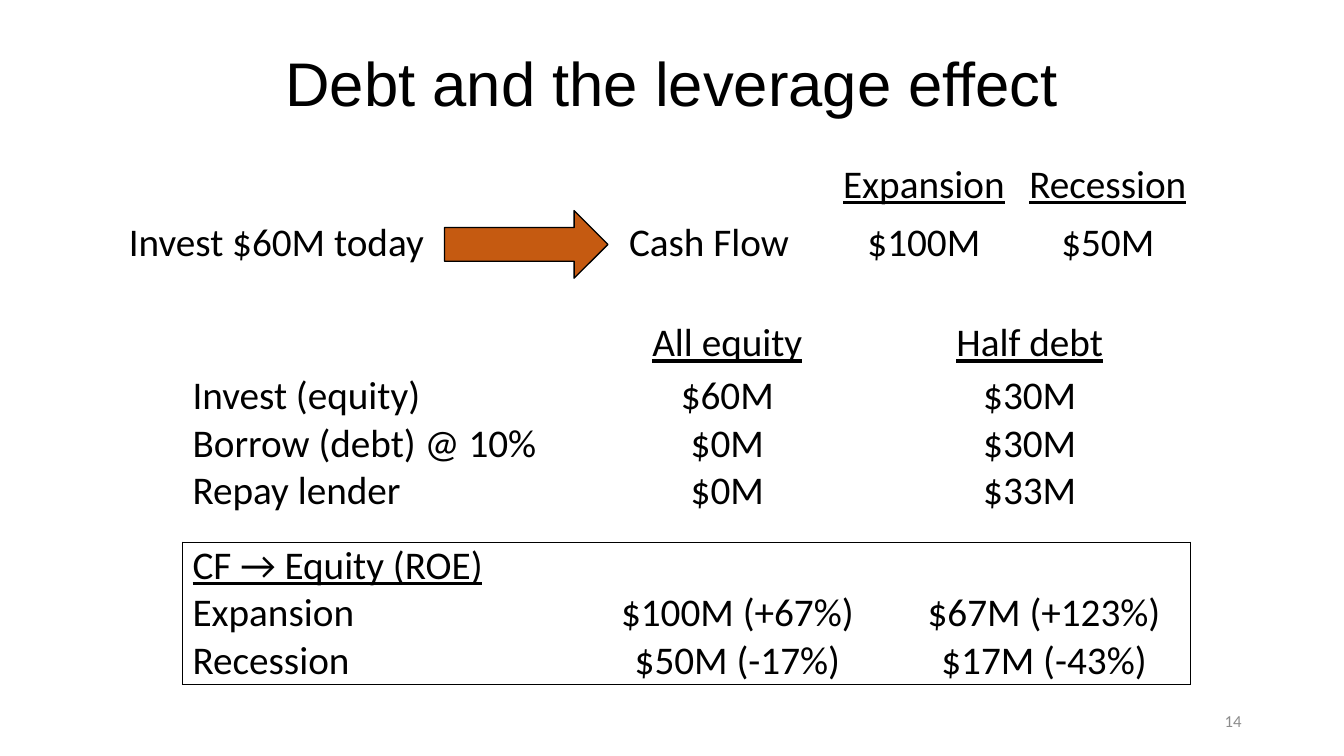
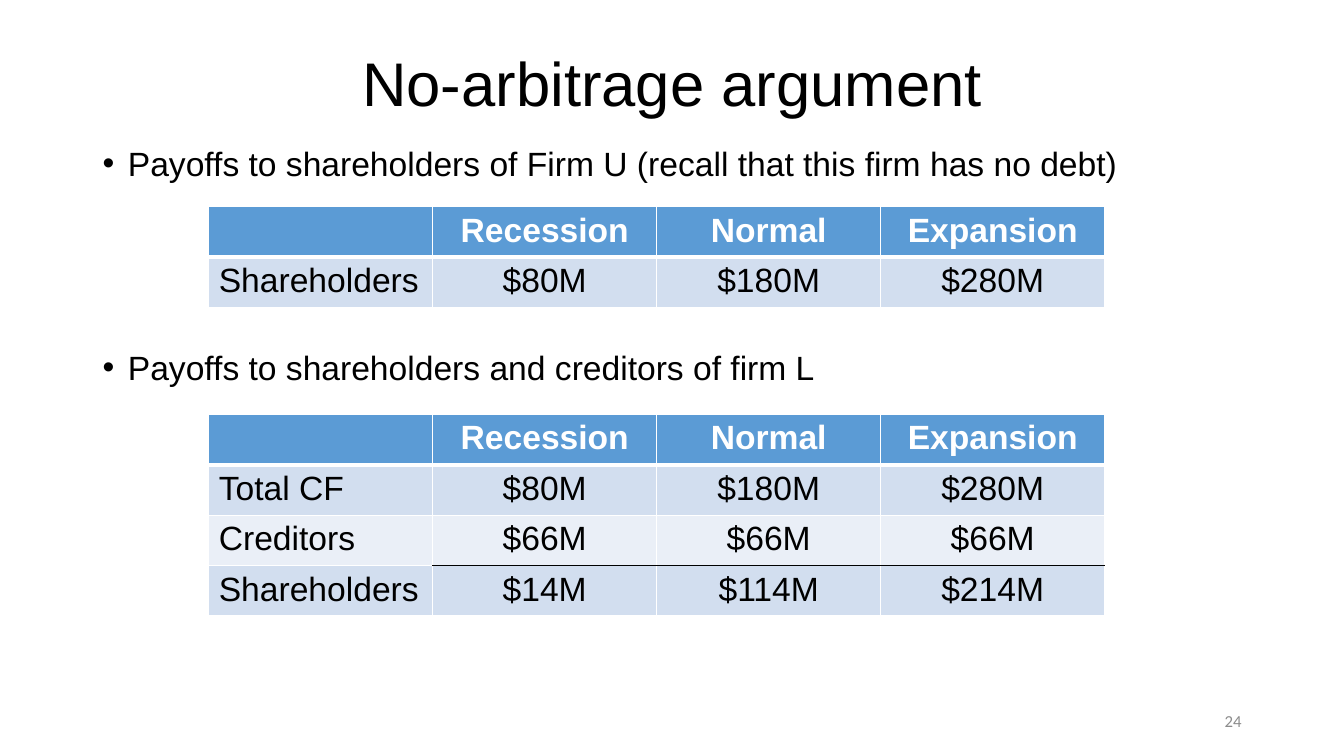
from dataclasses import dataclass

from lxml.etree import SubElement
from pptx import Presentation
from pptx.dml.color import RGBColor
from pptx.enum.shapes import MSO_SHAPE as Shape
from pptx.enum.text import MSO_ANCHOR as Anchor, PP_ALIGN as Align
from pptx.oxml.ns import qn
from pptx.util import Inches, Pt

SLIDE_WIDTH, SLIDE_HEIGHT = Inches(13.33), Inches(7.5)
COLORS = {
    "text": "000000", "number": "8C8C8C", "arrow": "C55A11", "white": "FFFFFF",
    "header": "5B9BD5", "band_dark": "D2DEEF", "band_light": "EAEFF7",
}
SIDES = {"left": "a:lnL", "right": "a:lnR", "top": "a:lnT", "bottom": "a:lnB"}


@dataclass
class Box:
    """A region, in percent of the slide."""
    left: float
    top: float
    width: float
    height: float

    def inner(self, left, top, width, height):
        """A region given in percent of this one."""
        return Box(self.left + self.width * left / 100,
                   self.top + self.height * top / 100,
                   self.width * width / 100, self.height * height / 100)

    def frame(self):
        return (int(SLIDE_WIDTH * self.left / 100), int(SLIDE_HEIGHT * self.top / 100),
                int(SLIDE_WIDTH * self.width / 100), int(SLIDE_HEIGHT * self.height / 100))


@dataclass
class Style:
    size: float
    font: str
    color: str = "text"
    bold: bool = False
    underline: bool = False


TITLE = Style(44, "Arial")
NUMBER = Style(12, "Calibri", "number")
BODY = Style(24, "Arial")
HEADING = Style(24, "Arial", "white", bold=True)
FIGURE = Style(28, "Calibri")
FIGURE_HEADING = Style(28, "Calibri", underline=True)

TITLE_BOX = Box(6.9, 5.33, 86.25, 12.13)
NUMBER_BOX = Box(70.63, 92.67, 22.5, 5.33)
BODY_BOX = Box(6.9, 18.8, 86.25, 76.8)


def color(name):
    return RGBColor.from_string(COLORS[name])


# Text
def write(paragraph, text, style, align=Align.LEFT):
    paragraph.alignment = align
    if not text:
        return
    run = paragraph.add_run()
    run.text = text
    run.font.size, run.font.name = Pt(style.size), style.font
    run.font.bold, run.font.underline = style.bold, style.underline
    run.font.color.rgb = color(style.color)


def add_text(slide, box, text, style, align=Align.LEFT, anchor=Anchor.TOP, spacing=1.0):
    text_frame = slide.shapes.add_textbox(*box.frame()).text_frame
    text_frame.word_wrap = True
    text_frame.vertical_anchor = anchor
    paragraph = text_frame.paragraphs[0]
    paragraph.line_spacing = spacing
    write(paragraph, text, style, align)


def add_bullets(slide, box, bullets):
    """Bullets are pairs of text and space before, in points."""
    text_frame = slide.shapes.add_textbox(*box.frame()).text_frame
    text_frame.word_wrap = True
    for index, (text, space_before) in enumerate(bullets):
        paragraph = text_frame.add_paragraph() if index else text_frame.paragraphs[0]
        paragraph.line_spacing, paragraph.space_before = 0.9, Pt(space_before)
        write(paragraph, text, BODY)
        properties = paragraph.runs[0]._r.getparent().get_or_add_pPr()
        properties.set("marL", str(Inches(0.25)))
        properties.set("indent", str(-Inches(0.25)))
        SubElement(properties, qn("a:buFont"), typeface="Arial")
        SubElement(properties, qn("a:buChar"), char="•")


# Tables
def set_borders(cell, borders):
    """Borders map a side to its colour name and width."""
    properties = cell._tc.get_or_add_tcPr()
    for side, tag in SIDES.items():
        if side in borders:
            name, width = borders[side]
            line = SubElement(properties, qn(tag), w=str(Pt(width)))
            fill = SubElement(line, qn("a:solidFill"))
            SubElement(fill, qn("a:srgbClr"), val=COLORS[name])
        else:
            line = SubElement(properties, qn(tag), w="0")
            SubElement(line, qn("a:noFill"))


def add_grid(slide, box, rows, column_weights, row_weights, format_cell):
    """format_cell(row, column) gives style, vertical inset, fill name and borders."""
    frame = box.frame()
    table = slide.shapes.add_table(len(rows), len(column_weights), *frame).table
    table.first_row = table.horz_banding = False
    for column, weight in zip(table.columns, column_weights):
        column.width = int(frame[2] * weight / sum(column_weights))
    for row, weight in zip(table.rows, row_weights):
        row.height = int(frame[3] * weight / sum(row_weights))
    for row_index, texts in enumerate(rows):
        for column_index, text in enumerate(texts):
            cell = table.cell(row_index, column_index)
            style, inset, fill, borders = format_cell(row_index, column_index)
            cell.margin_top = cell.margin_bottom = Inches(inset)
            set_borders(cell, borders)
            if fill:
                cell.fill.solid()
                cell.fill.fore_color.rgb = color(fill)
            else:
                cell.fill.background()
            align = Align.CENTER if column_index else Align.LEFT
            write(cell.text_frame.paragraphs[0], text, style, align)


def add_plain_table(slide, box, rows, column_weights, row_weights, insets):
    def format_cell(row, column):
        return FIGURE if row else FIGURE_HEADING, insets[row], None, {}
    add_grid(slide, box, rows, column_weights, row_weights, format_cell)


def add_framed_table(slide, box, rows, column_weights):
    last_row, last_column = len(rows) - 1, len(column_weights) - 1

    def format_cell(row, column):
        edges = {"left": column == 0, "right": column == last_column,
                 "top": row == 0, "bottom": row == last_row}
        borders = {side: ("text", 1) for side, outer in edges.items() if outer}
        return FIGURE if row else FIGURE_HEADING, 0, None, borders
    add_grid(slide, box, rows, column_weights, [1] * len(rows), format_cell)


def add_payoff_table(slide, box, payoffs, sum_row=None):
    """A banded table; a black rule runs above the figures of sum_row."""
    rows = [("", "Recession", "Normal", "Expansion"), *payoffs]

    def format_cell(row, column):
        borders = dict.fromkeys(SIDES, ("white", 1))
        if row == 0:
            borders["bottom"] = ("white", 3)
            return HEADING, 0.05, "header", borders
        if row == 1:
            borders["top"] = ("white", 3)
        if sum_row and column:
            if row == sum_row - 1:
                borders["bottom"] = ("text", 1)
            if row == sum_row:
                borders["top"] = ("text", 1)
        return BODY, 0.05, "band_dark" if row % 2 else "band_light", borders
    add_grid(slide, box, rows, [1] * 4, [1] * len(rows), format_cell)


# Regions and slides
def add_base_slide(presentation, title, number):
    slide = presentation.slides.add_slide(presentation.slide_layouts[6])
    add_text(slide, TITLE_BOX, title, TITLE, Align.CENTER, Anchor.MIDDLE, 0.9)
    add_text(slide, NUMBER_BOX, number, NUMBER, Align.RIGHT, Anchor.MIDDLE)
    return slide


def add_cash_flow(slide, box):
    add_plain_table(slide, box.inner(46.31, 0, 53.69, 94.2),
                    [("", "Expansion", "Recession"), ("Cash Flow", "$100M", "$50M")],
                    (2.1, 1.85, 1.8), (1, 1), (0.05, 0.05))
    add_text(slide, box.inner(0, 46.3, 30.16, 47.1), "Invest $60M today", FIGURE)
    arrow = slide.shapes.add_shape(Shape.RIGHT_ARROW,
                                   *box.inner(30.16, 44.6, 15.13, 55.4).frame())
    arrow.shadow.inherit = False
    arrow.fill.solid()
    arrow.fill.fore_color.rgb = color("arrow")
    arrow.line.color.rgb = color("text")
    arrow.line.width = Pt(1)


def add_leverage_slide(presentation):
    slide = add_base_slide(presentation, "Debt and the leverage effect", "14")
    add_cash_flow(slide, Box(8.85, 20.67, 80.33, 16.13))
    add_plain_table(slide, Box(13.58, 41.6, 75, 26.6),
                    [("", "All equity", "Half debt"),
                     ("Invest (equity)", "$60M", "$30M"),
                     ("Borrow (debt) @ 10%", "$0M", "$30M"),
                     ("Repay lender", "$0M", "$33M")],
                    (4, 2.81, 3.19), (1.2, 1, 1, 1), (0.05, 0, 0, 0))
    add_framed_table(slide, Box(13.58, 71.73, 75, 18.8),
                     [("CF → Equity (ROE)", "", ""),
                      ("Expansion", "$100M (+67%)", "$67M (+123%)"),
                      ("Recession", "$50M (-17%)", "$17M (-43%)")],
                     (3.92, 3.18, 2.91))


def add_arbitrage_slide(presentation):
    slide = add_base_slide(presentation, "No-arbitrage argument", "24")
    add_bullets(slide, BODY_BOX, [
        ("Payoffs to shareholders of Firm U (recall that this firm has no debt)", 10),
        ("Payoffs to shareholders and creditors of firm L", 120)])
    add_payoff_table(slide, Box(15.53, 27.33, 66.67, 12.53),
                     [("Shareholders", "$80M", "$180M", "$280M")])
    add_payoff_table(slide, Box(15.53, 54.8, 66.67, 25.07),
                     [("Total CF", "$80M", "$180M", "$280M"),
                      ("Creditors", "$66M", "$66M", "$66M"),
                      ("Shareholders", "$14M", "$114M", "$214M")], sum_row=3)


def main():
    presentation = Presentation()
    presentation.slide_width, presentation.slide_height = SLIDE_WIDTH, SLIDE_HEIGHT
    add_leverage_slide(presentation)
    add_arbitrage_slide(presentation)
    presentation.save("out.pptx")


if __name__ == "__main__":
    main()
